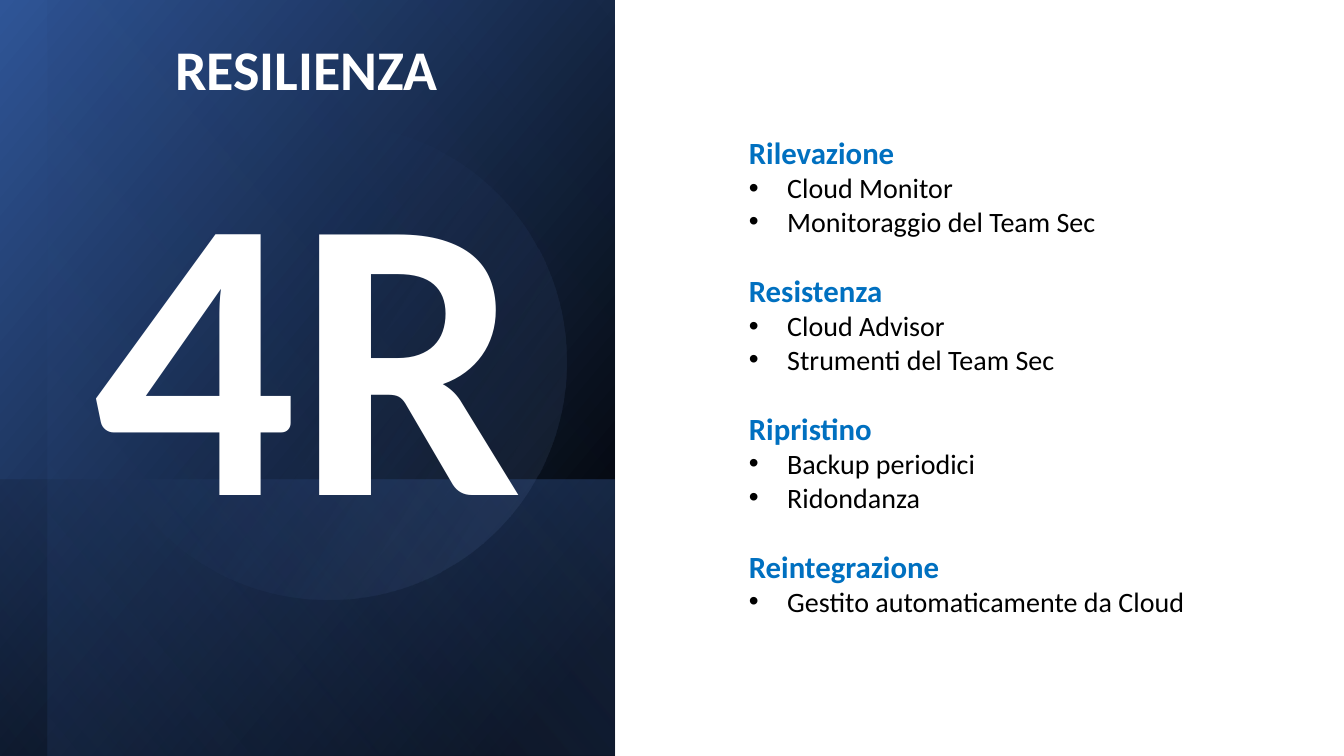
"""Build the RESILIENZA slide: a dark gradient panel with 4R beside four bulleted groups."""
from lxml import etree
from pptx import Presentation
from pptx.dml.color import RGBColor
from pptx.enum.shapes import MSO_SHAPE
from pptx.enum.text import MSO_ANCHOR, MSO_AUTO_SIZE, PP_ALIGN
from pptx.oxml.ns import qn
from pptx.util import Inches, Pt

RECTANGLE, OVAL = MSO_SHAPE.RECTANGLE, MSO_SHAPE.OVAL
CENTER, LEFT = PP_ALIGN.CENTER, PP_ALIGN.LEFT
MIDDLE, TOP = MSO_ANCHOR.MIDDLE, MSO_ANCHOR.TOP
GROW, FIXED = MSO_AUTO_SIZE.SHAPE_TO_FIT_TEXT, MSO_AUTO_SIZE.NONE

TITLE = "RESILIENZA"
BIG_TEXT = "4R"
GROUPS = [
    ("Rilevazione", ["Cloud Monitor", "Monitoraggio del Team Sec"]),
    ("Resistenza", ["Cloud Advisor", "Strumenti del Team Sec"]),
    ("Ripristino", ["Backup periodici", "Ridondanza"]),
    ("Reintegrazione", ["Gestito automaticamente da Cloud"]),
]

THEME = {
    "font": "Calibri",
    "white": "FFFFFF", "black": "000000", "heading": "0070C0",
    "deep": "2F5597", "blue": "4472C4", "pale": "8FAADC",
    "title_size": 40, "big_size": 287, "heading_size": 22, "item_size": 20,
    "group_gap": 24, "indent": 0.38,
}

PANEL_LAYERS = [
    {"kind": RECTANGLE, "box": (-0.7, 0.7, 7.5, 6.1), "turn": 90, "flip": True,
     "angle": 50, "stops": [(8, "black", 100), (100, "deep", 100)]},
    {"kind": RECTANGLE, "box": (1.67, 3.08, 2.74, 6.1), "turn": 90, "flip": True,
     "angle": 130, "stops": [(2, "blue", 29), (100, "black", 30)]},
    {"kind": RECTANGLE, "box": (-0.46, 0.93, 7.5, 5.63), "turn": 90, "flip": True,
     "angle": 130, "stops": [(0, "black", 0), (99, "blue", 11)]},
    {"kind": OVAL, "box": (0.9, 1.23, 4.72, 4.72), "turn": 101.6, "flip": False,
     "angle": 290, "stops": [(39, "blue", 0), (100, "pale", 15)]},
]
TITLE_BOX = (-0.01, 0.15, 6.1, 1.13)
BIG_BOX = (0.01, 0.88, 6.1, 4.93)
LIST_BOX = (7.33, 1.28, 4.77, 4.95)


def set_values(target, values):
    """Set every attribute named in a dict."""
    for name, value in values.items():
        setattr(target, name, value)


def fill_gradient(shape, stops, angle):
    """Give a shape a linear gradient with transparent stops."""
    shape.fill.gradient()
    gradient = shape._element.spPr.find(qn("a:gradFill"))
    gradient.set("rotWithShape", "1")
    for child in list(gradient):
        gradient.remove(child)
    stop_list = etree.SubElement(gradient, qn("a:gsLst"))
    for position, color, opacity in stops:
        stop = etree.SubElement(stop_list, qn("a:gs"), pos=str(position * 1000))
        tone = etree.SubElement(stop, qn("a:srgbClr"), val=THEME[color])
        if opacity < 100:
            etree.SubElement(tone, qn("a:alpha"), val=str(opacity * 1000))
    etree.SubElement(gradient, qn("a:lin"), ang=str(angle * 60000), scaled="0")


def add_layer(slide, layer):
    """Add one gradient layer of the dark panel."""
    shape = slide.shapes.add_shape(layer["kind"], *map(Inches, layer["box"]))
    shape.shadow.inherit = False
    shape.line.fill.background()
    shape.rotation = layer["turn"]
    if layer["flip"]:
        shape._element.spPr.xfrm.set("flipH", "1")
    fill_gradient(shape, layer["stops"], layer["angle"])


def write(para, text, size, color, bold):
    """Write one formatted span into a paragraph."""
    span = para.add_run()
    span.text = text
    set_values(span.font, {"name": THEME["font"], "size": Pt(size), "bold": bold})
    span.font.color.rgb = RGBColor.from_string(THEME[color])


def add_bullet(para):
    """Give a paragraph a hanging bullet."""
    properties = para._p.get_or_add_pPr()
    indent = Inches(THEME["indent"])
    properties.set("marL", str(indent))
    properties.set("indent", str(-indent))
    etree.SubElement(properties, qn("a:buFont"), typeface="Arial")
    etree.SubElement(properties, qn("a:buChar"), char="•")


def add_text_box(slide, position):
    """Add a wrapping text box and return its frame."""
    frame = slide.shapes.add_textbox(*map(Inches, position)).text_frame
    set_values(frame, {"word_wrap": True, "auto_size": GROW, "vertical_anchor": TOP})
    return frame


def add_groups(slide):
    """Add the headings and their bulleted items."""
    frame = add_text_box(slide, LIST_BOX)
    for number, (heading, items) in enumerate(GROUPS):
        para = frame.add_paragraph() if number else frame.paragraphs[0]
        para.alignment = LEFT
        if number:
            para.space_before = Pt(THEME["group_gap"])
        write(para, heading, THEME["heading_size"], "heading", True)
        for item in items:
            para = frame.add_paragraph()
            para.alignment = LEFT
            add_bullet(para)
            write(para, item, THEME["item_size"], "black", False)


def place_title(slide):
    """Format the title and bring it to the front."""
    title = slide.shapes.title
    left, top, width, height = map(Inches, TITLE_BOX)
    set_values(title, {"left": left, "top": top, "width": width, "height": height})
    frame = title.text_frame
    set_values(frame, {"word_wrap": True, "auto_size": FIXED, "vertical_anchor": MIDDLE})
    para = frame.paragraphs[0]
    set_values(para, {"alignment": CENTER, "line_spacing": 0.9})
    write(para, TITLE, THEME["title_size"], "white", True)
    slide.shapes._spTree.append(title._element)


def main():
    """Build and save the deck."""
    deck = Presentation()
    set_values(deck, {"slide_width": Inches(13.33), "slide_height": Inches(7.5)})
    page = deck.slides.add_slide(deck.slide_layouts[5])
    for layer in PANEL_LAYERS:
        add_layer(page, layer)
    big_para = add_text_box(page, BIG_BOX).paragraphs[0]
    big_para.alignment = CENTER
    write(big_para, BIG_TEXT, THEME["big_size"], "white", True)
    add_groups(page)
    place_title(page)
    deck.save("out.pptx")


if __name__ == "__main__":
    main()
